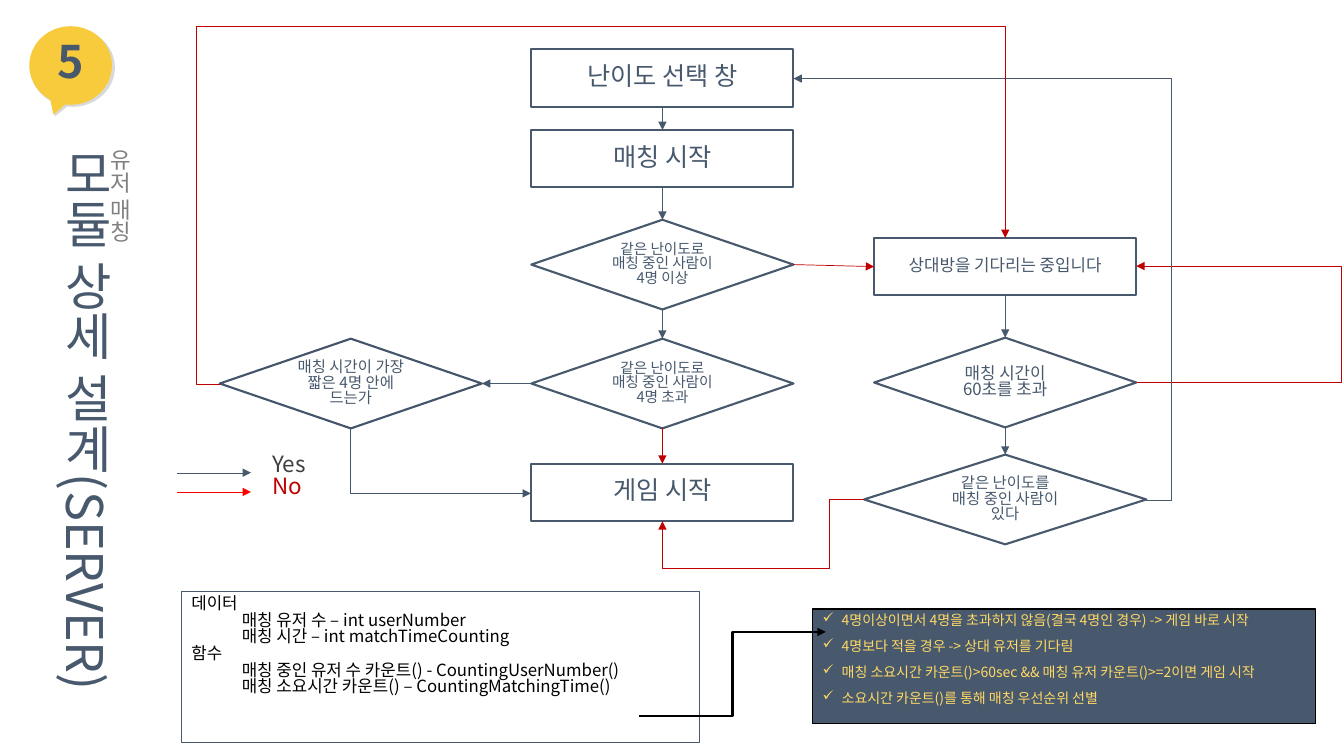
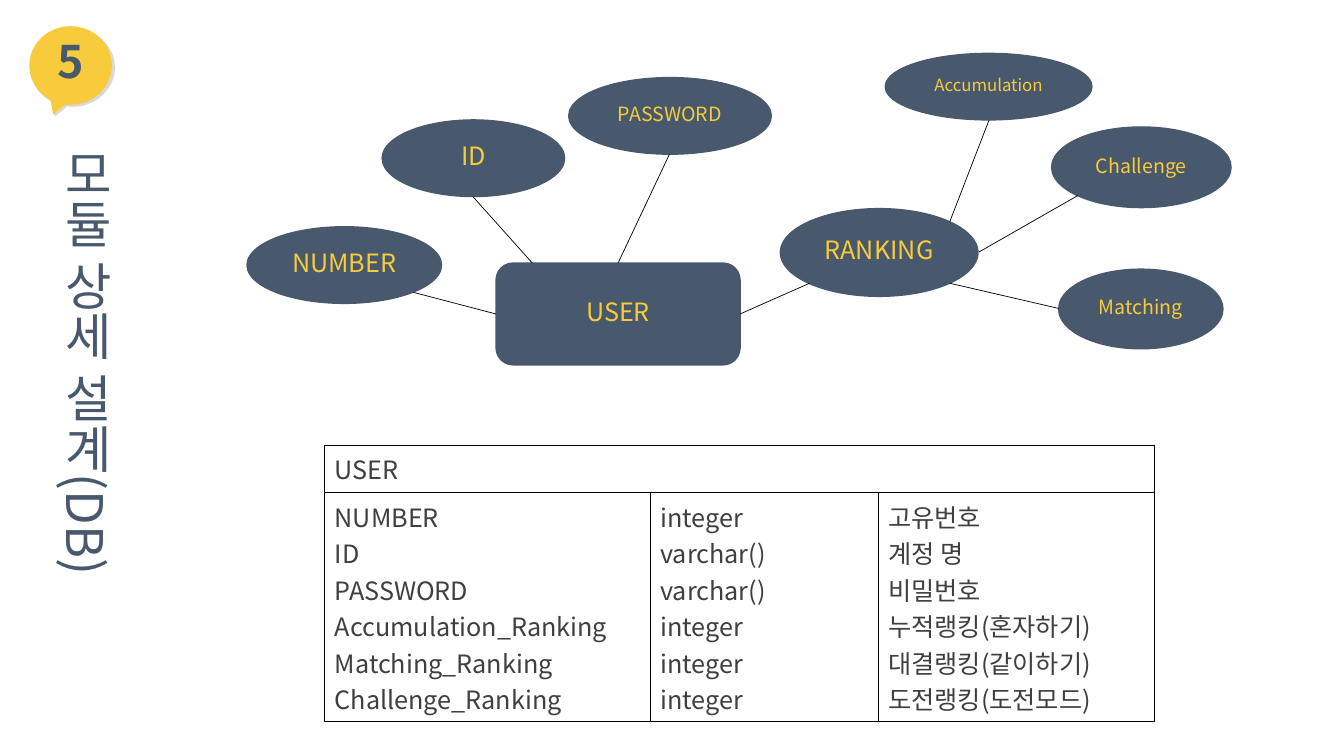
import pptx
import pptx.util
import pptx.dml.color
import pptx.enum.shapes
import pptx.enum.text
import pptx.oxml
import pptx.oxml.ns

Inches = pptx.util.Inches
Pt = pptx.util.Pt
RGB = pptx.dml.color.RGBColor
KIND = pptx.enum.shapes.MSO_SHAPE
LINK = pptx.enum.shapes.MSO_CONNECTOR
ALIGN = pptx.enum.text.PP_ALIGN
ANCHOR = pptx.enum.text.MSO_ANCHOR
qn = pptx.oxml.ns.qn

FONT = "Noto Sans CJK KR"
NAVY = RGB(0x48, 0x59, 0x6D)
SLATE = RGB(0x44, 0x54, 0x6A)
GOLD = RGB(0xF8, 0xCB, 0x3C)
SAND = RGB(0xFF, 0xD9, 0x66)
RED = RGB(0xC0, 0x00, 0x00)
BRIGHT = RGB(0xFF, 0x00, 0x00)
SHADE = RGB(0xD9, 0xD9, 0xD9)
GRAY = RGB(0x80, 0x80, 0x80)
DARK = RGB(0x3F, 0x3F, 0x3F)
BLACK = RGB(0, 0, 0)

TIGHT = 0.82  # line spacing of running text
TOP, LEFT, BOTTOM, RIGHT = range(4)


# Shared helpers

def node(parent, tag, **attrs):
    item = pptx.oxml.parse_xml("<%s %s/>" % (tag, pptx.oxml.ns.nsdecls("a")))
    for key, value in attrs.items():
        item.set(key, str(value))
    parent.append(item)
    return item


def style(run, size, color, bold=False):
    font = run.font
    font.name, font.size, font.bold = FONT, Pt(size), bold
    font.color.rgb = color
    node(font._element, "a:ea", typeface=FONT)


def write(frame, lines, size, color, align=ALIGN.LEFT, space=TIGHT, bold=False):
    frame.text = "\n".join(lines)
    for para in frame.paragraphs:
        para.alignment = align
        para.line_spacing = space
        for run in para.runs:
            style(run, size, color, bold)


def indent(para, left, first=0):
    props = para._p.get_or_add_pPr()
    props.set("marL", str(Inches(left)))
    props.set("indent", str(Inches(first)))
    return props


def shape(slide, kind, box, fill=None, line=None, width=1):
    item = slide.shapes.add_shape(kind, *map(Inches, box))
    item.shadow.inherit = False
    if fill is None:
        item.fill.background()
    else:
        item.fill.solid()
        item.fill.fore_color.rgb = fill
    if line is None:
        item.line.fill.background()
    else:
        item.line.color.rgb = line
        item.line.width = Pt(width)
    return item


def label(item, lines, size, color, bold=False):
    frame = item.text_frame
    frame.vertical_anchor = ANCHOR.MIDDLE
    write(frame, lines, size, color, ALIGN.CENTER, bold=bold)


def finish(link, color, width, arrow):
    link.line.color.rgb = color
    link.line.width = Pt(width)
    if arrow:
        node(link.line._get_or_add_ln(), "a:tailEnd", type="triangle")
    node(link._element.spPr, "a:effectLst")


def join(link, start, end):
    if start:
        link.begin_connect(*start)
    if end:
        link.end_connect(*end)


def straight(slide, ends, color, width=0.5, arrow=True, start=None, end=None):
    link = slide.shapes.add_connector(LINK.STRAIGHT, *map(Inches, ends))
    join(link, start, end)
    finish(link, color, width, arrow)


def elbow(slide, box, bends, turn, flip, adjust, color, width=0.5,
          start=None, end=None):
    link = slide.shapes.add_connector(LINK.ELBOW, 0, 0, 0, 0)
    join(link, start, end)
    link.left, link.top, link.width, link.height = map(Inches, box)
    props = link._element.spPr
    form = props.find(qn("a:xfrm"))
    form.set("rot", str(turn * 60000))
    form.set("flipH", str(int("h" in flip)))
    form.set("flipV", str(int("v" in flip)))
    geom = props.find(qn("a:prstGeom"))
    geom.set("prst", "bentConnector%d" % bends)
    guides = geom.find(qn("a:avLst"))
    if guides is None:
        guides = node(geom, "a:avLst")
    for num, value in enumerate(adjust, 1):
        name = "adj%d" % num
        node(guides, "a:gd", name=name, fmla="val %d" % round(value * 100000))
    finish(link, color, width, True)


def upright(slide, box, text, size, color, align=ALIGN.LEFT):
    item = slide.shapes.add_textbox(*map(Inches, box))
    write(item.text_frame, [text], size, color, align)
    item.text_frame.word_wrap = False
    item.text_frame._txBody.bodyPr.set("vert", "eaVert")


def header(slide, title, height):
    # Speech bubble with its offset shade
    for box, fill in (((0.3, 0.28, 0.84, 0.78), SHADE),
                      ((0.29, 0.26, 0.82, 0.78), GOLD)):
        bubble = shape(slide, KIND.OVAL_CALLOUT, box, fill)
        bubble.adjustments[0], bubble.adjustments[1] = -0.208, 0.625
    label(bubble, ["5"], 32, NAVY, True)
    upright(slide, (0.29, 1.38, 0.81, height), title, 36, NAVY)


# Server slide

def flow(slide, x, y):
    wide, low, high = 2.6, 0.57, 0.89
    right = x + 3.4
    rect, test = KIND.RECTANGLE, KIND.FLOWCHART_DECISION
    same = "같은 난이도로 매칭 중인 사람이 4명 "
    steps = {
        "level": (rect, x, y, wide, low, ["난이도 선택 창"], 18),
        "match": (rect, x, y + 0.8, wide, low, ["매칭 시작"], 18),
        "four": (test, x, y + 1.69, wide, high, [same + "이상"], 10.5),
        "over": (test, x, y + 2.87, wide, high, [same + "초과"], 10.5),
        "game": (rect, x, y + 4.11, wide, low, ["게임 시작"], 18),
        "wait": (rect, right, y + 1.87, wide, low,
                 ["상대방을 기다리는 중입니다"], 12),
        "time": (test, right, y + 2.86, wide, high,
                 ["매칭 시간이", "60초를 초과"], 12),
        "any": (test, right - 0.1, y + 4.02, 2.8, high,
                ["같은 난이도를", "매칭 중인 사람이 있다"], 11),
        "short": (test, x - 3.09, y + 2.87, wide, high,
                  ["매칭 시간이 가장 짧은 4명 안에 드는가"], 11),
    }
    made = {}
    for name, (kind, left, top, width, height, lines, size) in steps.items():
        edge = SLATE if name == "short" else NAVY
        made[name] = shape(slide, kind, (left, top, width, height),
                           None, edge, 1.5)
        label(made[name], lines, size, NAVY)

    # Straight arrows
    for one, side, two, goal, color in (
            ("level", BOTTOM, "match", TOP, NAVY),
            ("match", BOTTOM, "four", TOP, NAVY),
            ("four", RIGHT, "wait", LEFT, RED),
            ("four", BOTTOM, "over", TOP, NAVY),
            ("over", BOTTOM, "game", TOP, RED),
            ("over", LEFT, "short", RIGHT, NAVY),
            ("wait", BOTTOM, "time", TOP, NAVY),
            ("time", BOTTOM, "any", TOP, NAVY)):
        straight(slide, (0, 0, 0, 0), color, start=(made[one], side),
                 end=(made[two], goal))

    # Bent arrows: offset box, bends, turn, flip, adjustments
    for one, side, two, goal, box, bends, turn, flip, adjust, color in (
            ("time", RIGHT, "wait", RIGHT, (6, 2.15, 0.01, 1.15),
             3, 0, "hv", (-206,), RED),
            ("any", RIGHT, "level", RIGHT, (2.6, 0.29, 3.5, 4.18),
             3, 0, "hv", (-0.07,), NAVY),
            ("any", LEFT, "game", BOTTOM, (1.3, 4.46, 2, 0.22),
             4, 180, "v", (0.17, 3.11), RED),
            ("short", BOTTOM, "game", LEFT, (-1.22, 3.19, 0.64, 1.79),
             2, 270, "h", (), SLATE),
            ("short", LEFT, "wait", TOP, (-3.09, 1.87, 7.79, 1.45),
             4, 180, "h", (-0.03, 2.45), RED)):
        left, top, width, height = box
        elbow(slide, (x + left, y + top, width, height), bends, turn, flip,
              adjust, color, start=(made[one], side), end=(made[two], goal))


def legend(slide, x, y):
    for drop, color in ((0.42, BRIGHT), (0.23, NAVY)):
        straight(slide, (x + 0.16, y + drop, x + 0.89, y + drop), color, 0.25)
    item = slide.shapes.add_textbox(*map(Inches, (x, y, 1.78, 0.64)))
    frame = item.text_frame
    frame.word_wrap = True
    write(frame, ["Yes", "No"], 16, DARK)
    for para in frame.paragraphs:
        indent(para, 1)
    frame.paragraphs[1].runs[0].font.color.rgb = RED


def data(slide, box):
    item = shape(slide, KIND.RECTANGLE, box, None, NAVY, 0.75)
    frame = item.text_frame
    frame.vertical_anchor = ANCHOR.TOP
    write(frame, ["데이터",
                  "매칭 유저 수 – int userNumber",
                  "매칭 시간 – int matchTimeCounting",
                  "함수",
                  "매칭 중인 유저 수 카운트() - CountingUserNumber()",
                  "매칭 소요시간 카운트() – CountingMatchingTime()"], 12, BLACK)
    for num, para in enumerate(frame.paragraphs):
        if num % 3:
            indent(para, 0.5)


def rules(slide, box):
    item = shape(slide, KIND.RECTANGLE, box, NAVY, BLACK)
    frame = item.text_frame
    frame.vertical_anchor = ANCHOR.TOP
    write(frame, [
        "4명이상이면서 4명을 초과하지 않음(결국 4명인 경우) -> 게임 바로 시작",
        "4명보다 적을 경우 -> 상대 유저를 기다림",
        "매칭 소요시간 카운트()>60sec && 매칭 유저 카운트()>=2이면 게임 시작",
        "소요시간 카운트()를 통해 매칭 우선순위 선별",
    ], 10, SAND, ALIGN.JUSTIFY, 0.88)
    for para in frame.paragraphs:
        para.space_after = Pt(8)
        node(indent(para, 0.19, -0.19), "a:buChar", char="✓")


def server(slide):
    header(slide, "모듈 상세 설계(SERVER)", 5.71)
    upright(slide, (0.84, 1.38, 0.49, 1.05), "유저 매칭", 16, GRAY,
            ALIGN.CENTER)
    data(slide, (1.8, 5.87, 5.14, 1.5))
    flow(slide, 5.27, 0.49)
    legend(slide, 1.6, 4.46)
    rules(slide, (8.06, 6.04, 4.99, 1.14))
    elbow(slide, (6.34, 6.27, 1.85, 0.83), 3, 0, "v", (0.5,), BLACK, 1.5)


# Database slide

def graph(slide, x, y):
    user = shape(slide, KIND.ROUNDED_RECTANGLE,
                 (x + 2.47, y + 2.08, 2.42, 1.01), NAVY, NAVY)
    label(user, ["USER"], 18, GOLD)
    for text, left, top, width, height, size in (
            ("ID", 1.34, 0.66, 1.81, 0.76, 18),
            ("PASSWORD", 3.19, 0.24, 2.01, 0.76, 14),
            ("RANKING", 5.29, 1.54, 1.96, 0.87, 18),
            ("NUMBER", 0, 1.72, 1.93, 0.76, 18),
            ("Accumulation", 6.33, 0, 2.05, 0.66, 12),
            ("Challenge", 7.98, 0.73, 1.78, 0.8, 14),
            ("Matching", 8.05, 2.14, 1.63, 0.79, 14)):
        oval = shape(slide, KIND.OVAL, (x + left, y + top, width, height),
                     NAVY, NAVY)
        label(oval, [text], size, GOLD)
    for left, top, right, low, side in (
            (1.65, 2.37, 2.47, 2.59, LEFT),
            (2.24, 1.42, 2.83, 2.08, None),
            (4.19, 1, 3.68, 2.08, TOP),
            (5.58, 2.28, 4.89, 2.59, RIGHT),
            (6.97, 1.67, 7.36, 0.66, None),
            (7.26, 1.97, 8.24, 1.41, None),
            (6.97, 2.28, 8.05, 2.53, None)):
        straight(slide, (x + left, y + top, x + right, y + low), BLACK,
                 arrow=False, end=None if side is None else (user, side))


def fields(slide, box):
    grid = slide.shapes.add_table(2, 3, *map(Inches, box)).table
    grid.first_row = grid.horz_banding = False
    for col, width in zip(grid.columns, (3.23, 2.26, 2.74)):
        col.width = Inches(width)
    for row, height in zip(grid.rows, (0.47, 2.27)):
        row.height = Inches(height)
    for cell in grid.iter_cells():
        props = cell._tc.get_or_add_tcPr()
        for side in "LRTB":
            edge = node(props, "a:ln" + side, w=Pt(1))
            node(node(edge, "a:solidFill"), "a:srgbClr", val=BLACK)
        cell.fill.background()
    grid.cell(0, 0).merge(grid.cell(0, 2))
    write(grid.cell(0, 0).text_frame, ["USER"], 18, DARK, space=1.0)
    rows = (("NUMBER", "integer", "고유번호"),
            ("ID", "varchar()", "계정 명"),
            ("PASSWORD", "varchar()", "비밀번호"),
            ("Accumulation_Ranking", "integer", "누적랭킹(혼자하기)"),
            ("Matching_Ranking", "integer", "대결랭킹(같이하기)"),
            ("Challenge_Ranking", "integer", "도전랭킹(도전모드)"))
    for num, lines in enumerate(zip(*rows)):
        write(grid.cell(1, num).text_frame, lines, 18, DARK, space=1.0)


def store(slide):
    header(slide, "모듈 상세 설계(DB)", 4.5)
    graph(slide, 2.45, 0.53)
    fields(slide, (3.22, 4.42, 8.23, 2.74))


def main():
    deck = pptx.Presentation()
    deck.slide_width, deck.slide_height = Inches(13.33), Inches(7.5)
    for build in (server, store):
        build(deck.slides.add_slide(deck.slide_layouts[6]))
    deck.save("out.pptx")


if __name__ == "__main__":
    main()
